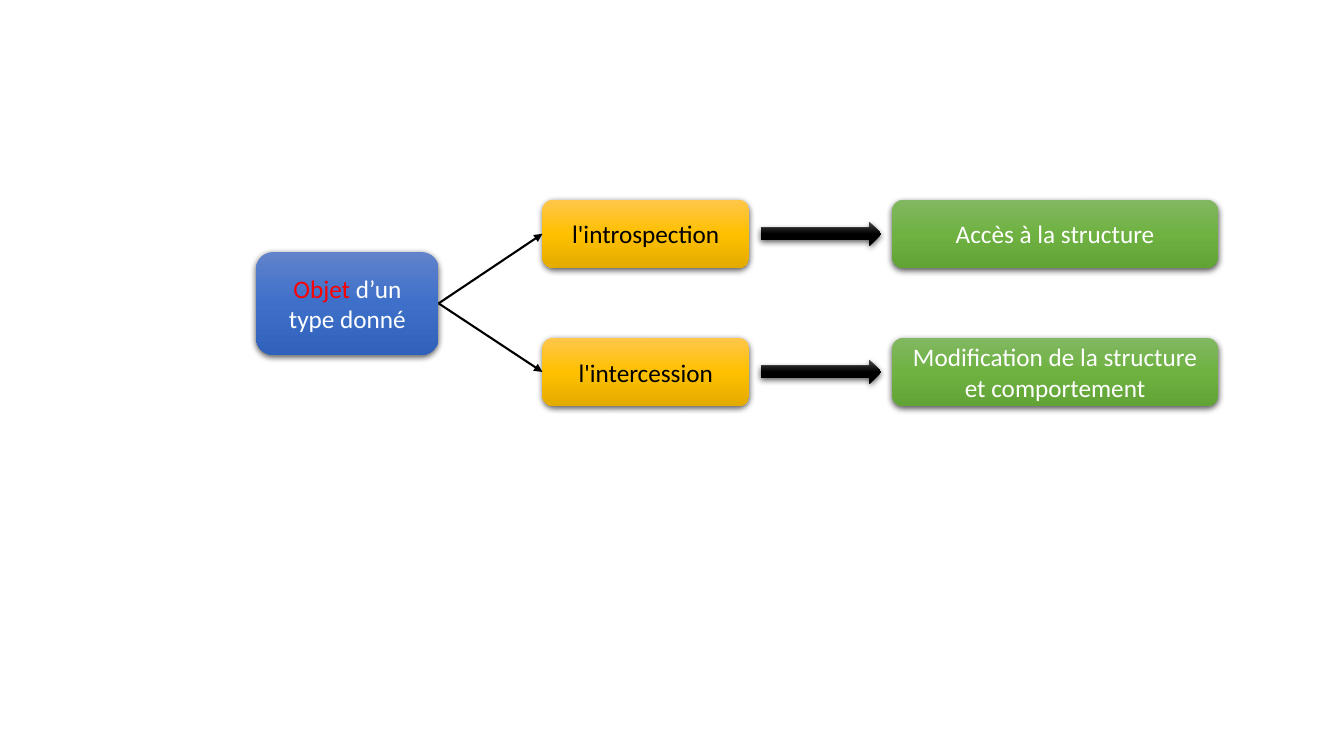
import pptx
import pptx.util
import pptx.dml.color
import pptx.enum.shapes
import pptx.enum.text
import pptx.oxml
import pptx.oxml.ns
import copy

Inches = pptx.util.Inches
RGBColor = pptx.dml.color.RGBColor
Shapes = pptx.enum.shapes.MSO_SHAPE

BLACK = RGBColor(0x00, 0x00, 0x00)
WHITE = RGBColor(0xFF, 0xFF, 0xFF)
RED = RGBColor(0xFF, 0x00, 0x00)
BLUES = (RGBColor(0x61, 0x83, 0xCB), RGBColor(0x3E, 0x70, 0xCA), RGBColor(0x30, 0x62, 0xBB))
GOLDS = (RGBColor(0xFF, 0xC6, 0x4B), RGBColor(0xFF, 0xC0, 0x00), RGBColor(0xE3, 0xAB, 0x00))
GREENS = (RGBColor(0x81, 0xB8, 0x61), RGBColor(0x6F, 0xB2, 0x42), RGBColor(0x62, 0xA3, 0x36))
BLACKS = (RGBColor(0x4B, 0x4B, 0x4B), BLACK, BLACK)

SHADOW = (
    f'<a:outerShdw {pptx.oxml.ns.nsdecls("a")} blurRad="57150" dist="19050" '
    'dir="5400000" algn="ctr" rotWithShape="0">'
    '<a:srgbClr val="000000"><a:alpha val="63000"/></a:srgbClr></a:outerShdw>'
)
EFFECTS = f'<a:effectLst {pptx.oxml.ns.nsdecls("a")}/>'
ARROWHEAD = f'<a:tailEnd {pptx.oxml.ns.nsdecls("a")} type="triangle"/>'


class Diagram:
    font_name = "Calibri"
    font_size = pptx.util.Pt(18)
    line_width = pptx.util.Pt(1.5)

    def __init__(self, page):
        self.page = page

    def block(self, kind, left, top, width, height, colors):
        shape = self.page.shapes.add_shape(
            kind, Inches(left), Inches(top), Inches(width), Inches(height)
        )
        shape.line.fill.background()
        shape.fill.gradient()
        shape.fill.gradient_angle = 270
        first = shape._element.spPr.find(".//" + pptx.oxml.ns.qn("a:gs"))
        first.addnext(copy.deepcopy(first))
        for stop, position, color in zip(shape.fill.gradient_stops, (0, 0.5, 1), colors):
            stop.position = position
            stop.color.rgb = color
        shape.shadow.inherit = False
        effects = shape._element.spPr.find(pptx.oxml.ns.qn("a:effectLst"))
        effects.append(pptx.oxml.parse_xml(SHADOW))
        return shape

    def box(self, left, top, width, height, colors, spans):
        box = self.block(Shapes.ROUNDED_RECTANGLE, left, top, width, height, colors)
        box.text_frame.word_wrap = True
        box.text_frame.vertical_anchor = pptx.enum.text.MSO_ANCHOR.MIDDLE
        para = box.text_frame.paragraphs[0]
        para.alignment = pptx.enum.text.PP_ALIGN.CENTER
        para.font.name = self.font_name
        para.font.size = self.font_size
        for text, color in spans:
            span = para.add_run()
            span.text = text
            span.font.color.rgb = color
        return box

    def arrow(self, left, top, width, height):
        return self.block(Shapes.RIGHT_ARROW, left, top, width, height, BLACKS)

    def link(self, source, target):
        line = self.page.shapes.add_connector(
            pptx.enum.shapes.MSO_CONNECTOR.STRAIGHT, 0, 0, 0, 0
        )
        line.begin_connect(source, 3)
        line.end_connect(target, 1)
        line.line.color.rgb = BLACK
        line.line.width = self.line_width
        line.line._get_or_add_ln().append(pptx.oxml.parse_xml(ARROWHEAD))
        line._element.spPr.append(pptx.oxml.parse_xml(EFFECTS))


def main():
    deck = pptx.Presentation()
    deck.slide_width = Inches(13.33)
    deck.slide_height = Inches(7.5)
    diagram = Diagram(deck.slides.add_slide(deck.slide_layouts[6]))

    typed_object = diagram.box(
        2.54, 2.5, 1.81, 1.02, BLUES, [("Objet", RED), (" d’un type donné", WHITE)]
    )
    branches = [
        ("l'introspection", "Accès à la structure"),
        ("l'intercession", "Modification de la structure et comportement"),
    ]
    for row, (ability, effect) in enumerate(branches):
        top = 1.98 + row * 1.37
        ability_box = diagram.box(5.38, top, 2.05, 0.68, GOLDS, [(ability, BLACK)])
        diagram.box(8.85, top, 3.23, 0.68, GREENS, [(effect, WHITE)])
        diagram.arrow(7.55, top + 0.22, 1.19, 0.24)
        diagram.link(typed_object, ability_box)

    deck.save("out.pptx")


if __name__ == "__main__":
    main()
